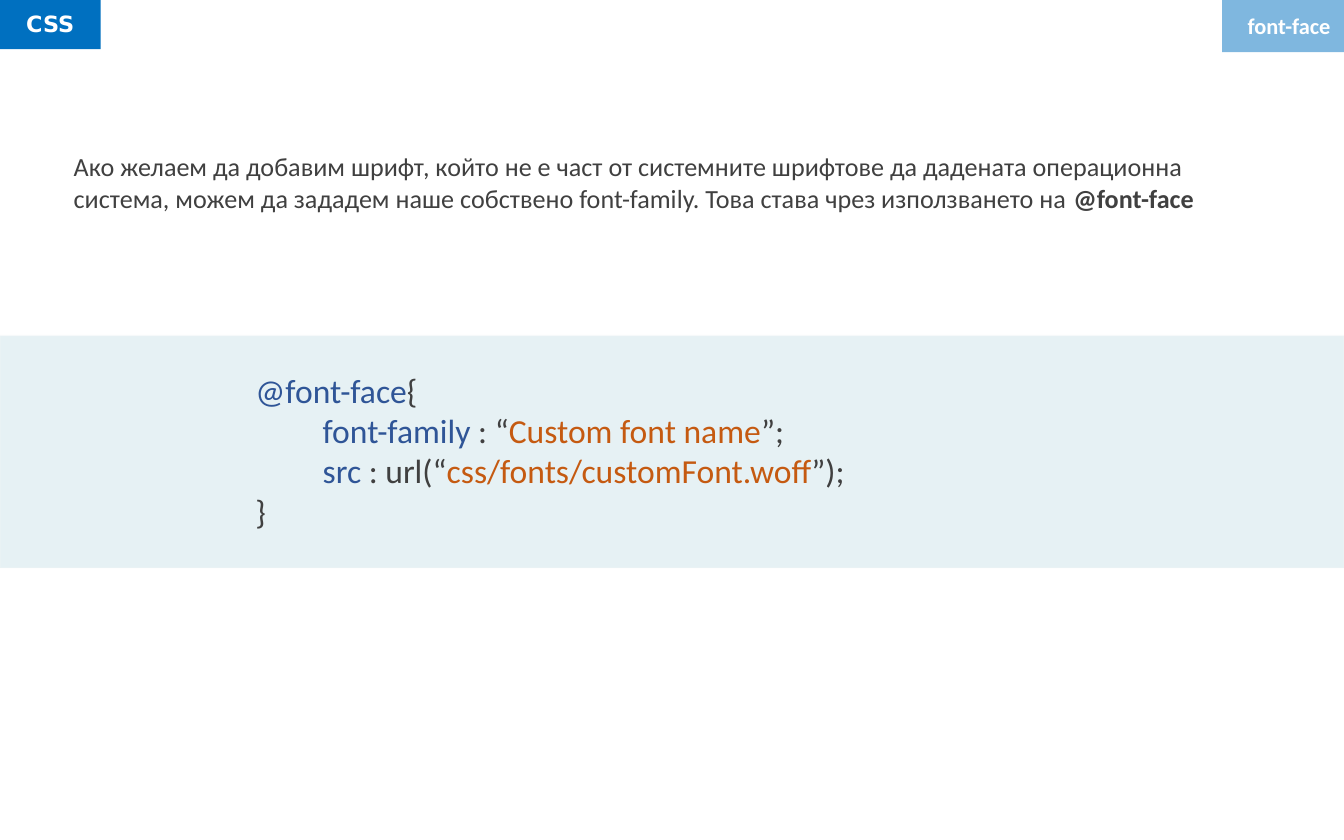
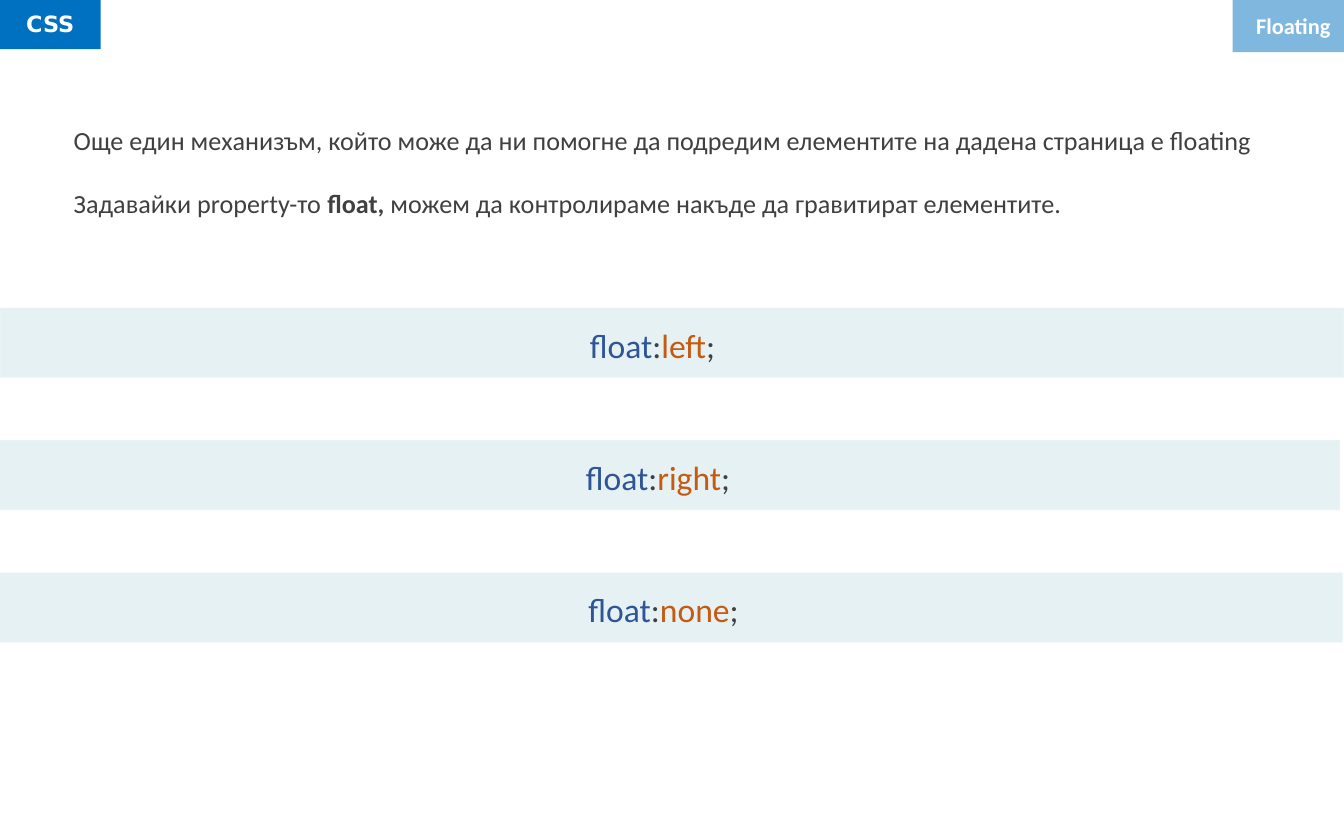
from dataclasses import dataclass
from typing import NamedTuple

from lxml.etree import SubElement
from pptx import Presentation
from pptx.dml.color import RGBColor
from pptx.enum.shapes import MSO_SHAPE
from pptx.enum.text import MSO_ANCHOR, MSO_AUTO_SIZE, PP_ALIGN
from pptx.oxml.ns import qn
from pptx.util import Pt

COLORS = {
    "blue": "0070C0",
    "teal": "127994",
    "edge": "F8F8F8",
    "white": "FFFFFF",
    "text": "404040",
    "keyword": "2F5597",
    "value": "C55A11",
}
SLIDE_WIDTH, SLIDE_HEIGHT = 720, 450
FLOAT_TOP, FLOAT_PITCH = 164.9, 70.9
BODY_GAP = 17


class Box(NamedTuple):
    left: float
    top: float
    width: float
    height: float

    def lengths(self) -> list:
        return [Pt(value) for value in self]


class Span(NamedTuple):
    text: str
    color: str = "text"
    bold: bool = False


@dataclass
class FloatBand:
    value: str
    left: float
    label_width: float


FLOAT_BANDS = [
    FloatBand("left", 0, 82.8),
    FloatBand("right", -2.16, 92.9),
    FloatBand("none", -0.72, 96.5),
]


def paint(color_format, name: str, opacity: int = 100) -> None:
    """Give a solid fill or line a named colour, with opacity in percent."""
    color_format.solid()
    color_format.fore_color.rgb = RGBColor.from_string(COLORS[name])
    if opacity < 100:
        for color in color_format._xPr.iter(qn("a:srgbClr")):
            if color.getparent().getparent() is color_format._xPr:
                SubElement(color, qn("a:alpha")).set("val", str(opacity * 1000))


def add_rectangle(slide, box: Box, color: str, opacity: int = 100):
    rectangle = slide.shapes.add_shape(MSO_SHAPE.RECTANGLE, *box.lengths())
    rectangle.shadow.inherit = False
    paint(rectangle.fill, color, opacity)
    rectangle.line.fill.background()
    return rectangle


def add_band(slide, box: Box) -> None:
    band = add_rectangle(slide, box, "teal", 10)
    paint(band.line.fill, "edge", 16)
    band.line.width = Pt(1)


def write(frame, lines: list[list[Span]], size: float, font: str = "Calibri",
          wrap: bool = True, align=PP_ALIGN.LEFT, gap: float = 0) -> None:
    """Fill a text frame with one paragraph per line of spans."""
    frame.word_wrap = wrap
    frame.auto_size = MSO_AUTO_SIZE.NONE
    frame.vertical_anchor = MSO_ANCHOR.TOP
    for index, spans in enumerate(lines):
        para = frame.add_paragraph() if index else frame.paragraphs[0]
        para.alignment = align
        para.space_before = Pt(gap if index else 0)
        for span in spans:
            run = para.add_run()
            run.text = span.text
            run.font.name = font
            run.font.size = Pt(size)
            run.font.bold = span.bold
            run.font.color.rgb = RGBColor.from_string(COLORS[span.color])


def add_text(slide, box: Box, lines: list[list[Span]], size: float,
             font: str = "Calibri", wrap: bool = True) -> None:
    text_box = slide.shapes.add_textbox(*box.lengths())
    write(text_box.text_frame, lines, size, font, wrap)


def place(shape, box: Box) -> None:
    shape.left, shape.top, shape.width, shape.height = box.lengths()


def add_page(deck, topic: str, tab_width: float, body_box: Box,
             body_lines: list[list[Span]]):
    """Add a slide with the course tab, the topic tab and the body text."""
    slide = deck.slides.add_slide(deck.slide_layouts[1])
    tab_left = SLIDE_WIDTH - tab_width
    add_rectangle(slide, Box(0, -1.6, 54, 28), "blue")
    add_text(slide, Box(7, 2, 41, 21.8), [[Span("CSS", "white", True)]],
             12, "DejaVu Sans")
    add_rectangle(slide, Box(tab_left, 0, tab_width, 28), "blue", 50)

    title = slide.shapes.title
    place(title, Box(tab_left, 3, tab_width, 21.8))
    write(title.text_frame, [[Span(topic, "white", True)]], 12,
          align=PP_ALIGN.RIGHT)
    slide.shapes._spTree.append(title._element)

    body = slide.placeholders[1]
    place(body, body_box)
    write(body.text_frame, body_lines, 14, gap=BODY_GAP)
    for para in body.text_frame.paragraphs:
        properties = para._p.get_or_add_pPr()
        properties.set("marL", "0")
        properties.set("indent", "0")
        SubElement(properties, qn("a:buNone"))
    return slide


def build_font_face(deck) -> None:
    slide = add_page(deck, "font-face", 65.3, Box(32.3, 77.2, 652.3, 41.2), [[
        Span("Ако желаем да добавим шрифт, който не е част от системните "
             "шрифтове да дадената операционна система, можем да зададем "
             "нашe собственo font-family. Това става чрез използването на "),
        Span("@font-face", bold=True),
    ]])
    add_band(slide, Box(0, 179.8, SLIDE_WIDTH, 124.4))
    add_text(slide, Box(129.8, 194.4, 457, 94.5), [
        [Span("@font-face", "keyword"), Span("{")],
        [Span("\tfont-family ", "keyword"), Span(": “"),
         Span("Custom font name", "value"), Span("”;")],
        [Span("\tsrc ", "keyword"), Span(": url(“"),
         Span("css/fonts/customFont.woff", "value"), Span("”);")],
        [Span("}")],
    ], 18)


def build_floating(deck) -> None:
    slide = add_page(deck, "Floating", 59.6, Box(32.3, 63.2, 652.3, 58.2), [
        [Span("Още един механизъм, който може да ни помогне да подредим "
              "елементите на дадена страница е floating")],
        [Span("Задавайки property-то "), Span("float, ", bold=True),
         Span("можем да контролираме накъде да гравитират елементите.")],
    ])
    for index, band in enumerate(FLOAT_BANDS):
        top = FLOAT_TOP + index * FLOAT_PITCH
        add_band(slide, Box(band.left, top, SLIDE_WIDTH, 37.5))
        add_text(slide, Box(band.left + 308.9, top + 5.4, band.label_width, 29),
                 [[Span("float", "keyword"), Span(":"),
                   Span(band.value, "value"), Span(";")]], 18, wrap=False)


def main() -> None:
    deck = Presentation()
    deck.slide_width, deck.slide_height = Pt(SLIDE_WIDTH), Pt(SLIDE_HEIGHT)
    build_font_face(deck)
    build_floating(deck)
    deck.save("out.pptx")


if __name__ == "__main__":
    main()
